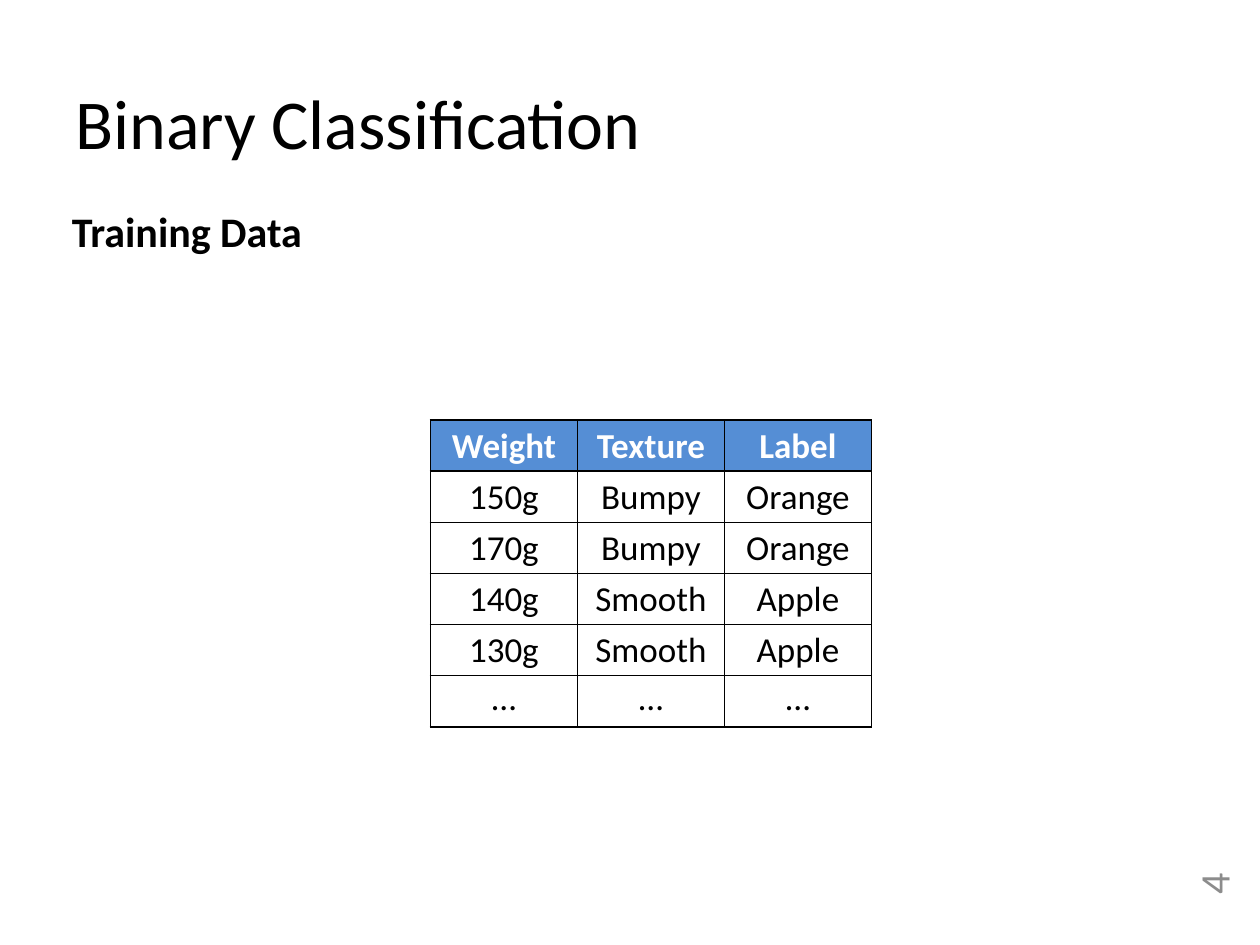
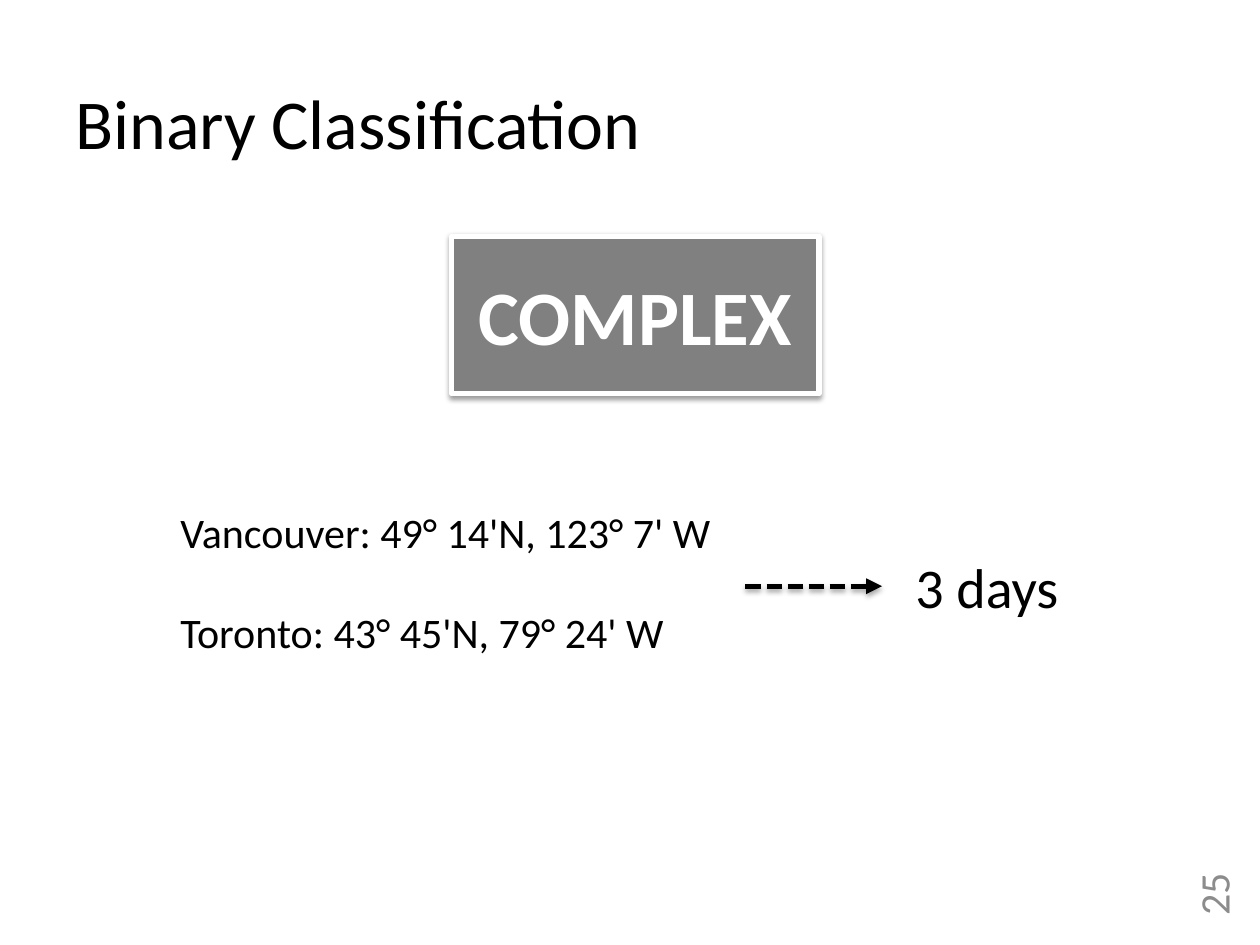
from dataclasses import dataclass

from lxml import etree
from pptx import Presentation
from pptx.dml.color import RGBColor
from pptx.enum.dml import MSO_LINE
from pptx.enum.shapes import MSO_CONNECTOR, MSO_SHAPE
from pptx.enum.text import MSO_ANCHOR, PP_ALIGN
from pptx.oxml.ns import qn
from pptx.util import Pt

LEFT, CENTER, RIGHT = PP_ALIGN.LEFT, PP_ALIGN.CENTER, PP_ALIGN.RIGHT
TOP, MIDDLE = MSO_ANCHOR.TOP, MSO_ANCHOR.MIDDLE
RECTANGLE = MSO_SHAPE.RECTANGLE
STRAIGHT = MSO_CONNECTOR.STRAIGHT
SHORT_DASH = MSO_LINE.SQUARE_DOT

FONT = "Calibri"
COLORS = {
    "text": "000000",
    "page": "8C8C8C",
    "header": "558ED5",
    "box": "808080",
    "white": "FFFFFF",
}
TITLE = "Binary Classification"
FRUIT = [
    ("Weight", "Texture", "Label"),
    ("150g", "Bumpy", "Orange"),
    ("170g", "Bumpy", "Orange"),
    ("140g", "Smooth", "Apple"),
    ("130g", "Smooth", "Apple"),
    ("…", "…", "…"),
]


@dataclass
class Label:
    """A text box: text, place in points and type style."""
    text: str
    left: float
    top: float
    width: float
    height: float
    size: float = 24
    color: str = "text"
    bold: bool = False
    align: PP_ALIGN = LEFT
    anchor: MSO_ANCHOR = TOP
    rotation: float = 0


def rgb(name: str) -> RGBColor:
    return RGBColor.from_string(COLORS[name])


def set_text(tf, text: str, size: float, color: str, bold: bool, align: PP_ALIGN) -> None:
    tf.text = text
    p = tf.paragraphs[0]
    p.alignment = align
    r = p.runs[0]
    r.font.name = FONT
    r.font.size = Pt(size)
    r.font.bold = bold
    r.font.color.rgb = rgb(color)


def add_label(s, label: Label) -> None:
    sp = s.shapes.add_textbox(Pt(label.left), Pt(label.top), Pt(label.width), Pt(label.height))
    sp.rotation = label.rotation
    tf = sp.text_frame
    tf.word_wrap = True
    tf.vertical_anchor = label.anchor
    set_text(tf, label.text, label.size, label.color, label.bold, label.align)


def add_shadow(sp, alpha: int, blur: float, distance: float) -> None:
    """Give a shape or connector a soft black shadow straight below it."""
    effects = etree.SubElement(sp._element.spPr, qn("a:effectLst"))
    shadow = etree.SubElement(
        effects, qn("a:outerShdw"), blurRad=str(Pt(blur)), dist=str(Pt(distance)),
        dir="5400000", rotWithShape="0")
    color = etree.SubElement(shadow, qn("a:srgbClr"), val=COLORS["text"])
    etree.SubElement(color, qn("a:alpha"), val=str(alpha * 1000))


def add_borders(cell) -> None:
    tc_pr = cell._tc.get_or_add_tcPr()
    for side in ("lnL", "lnR", "lnT", "lnB"):
        ln = etree.SubElement(tc_pr, qn(f"a:{side}"), w=str(Pt(1)))
        fill = etree.SubElement(ln, qn("a:solidFill"))
        etree.SubElement(fill, qn("a:srgbClr"), val=COLORS["text"])


def add_data_table(s, rows: list[tuple[str, ...]], left: float, top: float,
                   col_width: float, row_height: float) -> None:
    n_rows, n_cols = len(rows), len(rows[0])
    table = s.shapes.add_table(n_rows, n_cols, Pt(left), Pt(top),
                               Pt(col_width * n_cols), Pt(row_height * n_rows)).table
    for col in table.columns:
        col.width = Pt(col_width)
    for i, values in enumerate(rows):
        table.rows[i].height = Pt(row_height)
        is_header = i == 0
        for j, value in enumerate(values):
            cell = table.cell(i, j)
            cell.margin_left = cell.margin_right = cell.margin_top = Pt(0.75)
            cell.margin_bottom = Pt(0)
            cell.vertical_anchor = TOP if value == "…" else MIDDLE
            add_borders(cell)
            if is_header:
                cell.fill.solid()
                cell.fill.fore_color.rgb = rgb("header")
            else:
                cell.fill.background()
            set_text(cell.text_frame, value, 20, "white" if is_header else "text",
                     is_header, CENTER)


def add_complex_box(s) -> None:
    sp = s.shapes.add_shape(RECTANGLE, Pt(258), Pt(135), Pt(210), Pt(90))
    sp.fill.solid()
    sp.fill.fore_color.rgb = rgb("box")
    sp.line.color.rgb = rgb("white")
    sp.line.width = Pt(3)
    add_shadow(sp, 38, 3.1, 1.6)
    sp.text_frame.vertical_anchor = MIDDLE
    set_text(sp.text_frame, "COMPLEX", 44, "white", True, CENTER)


def add_dashed_arrow(s, x1: float, x2: float, y: float) -> None:
    line = s.shapes.add_connector(STRAIGHT, Pt(x1), Pt(y), Pt(x2), Pt(y))
    line.line.color.rgb = rgb("text")
    line.line.width = Pt(3)
    line.line.dash_style = SHORT_DASH
    etree.SubElement(line.line._get_or_add_ln(), qn("a:tailEnd"), type="triangle")
    add_shadow(line, 35, 3.1, 1.8)


def new_slide(prs, page: int):
    """Add a blank slide with the shared page number and title."""
    s = prs.slides.add_slide(prs.slide_layouts[6])
    add_label(s, Label(str(page), 669, 501, 48, 30, color="page", align=RIGHT,
                       anchor=MIDDLE, rotation=270))
    add_label(s, Label(TITLE, 36, 42, 654, 55.5, size=40))
    return s


def main() -> None:
    prs = Presentation()
    prs.slide_width, prs.slide_height = Pt(720), Pt(540)

    # Training data
    s = new_slide(prs, 4)
    add_label(s, Label("Training Data", 34, 114, 654, 36, bold=True))
    add_data_table(s, FRUIT, left=246, top=240, col_width=84, row_height=29.25)

    # Complex model: two places give a travel time
    s = new_slide(prs, 25)
    add_complex_box(s)
    add_label(s, Label("3 days", 516, 312, 99, 46, size=32))
    add_dashed_arrow(s, 426, 504, 335)
    places = ["Vancouver: 49° 14'N, 123° 7' W", "Toronto: 43° 45'N, 79° 24' W"]
    for i, place in enumerate(places):
        add_label(s, Label(place, 96, 286 + 57 * i, 324, 36))

    prs.save("out.pptx")


if __name__ == "__main__":
    main()
